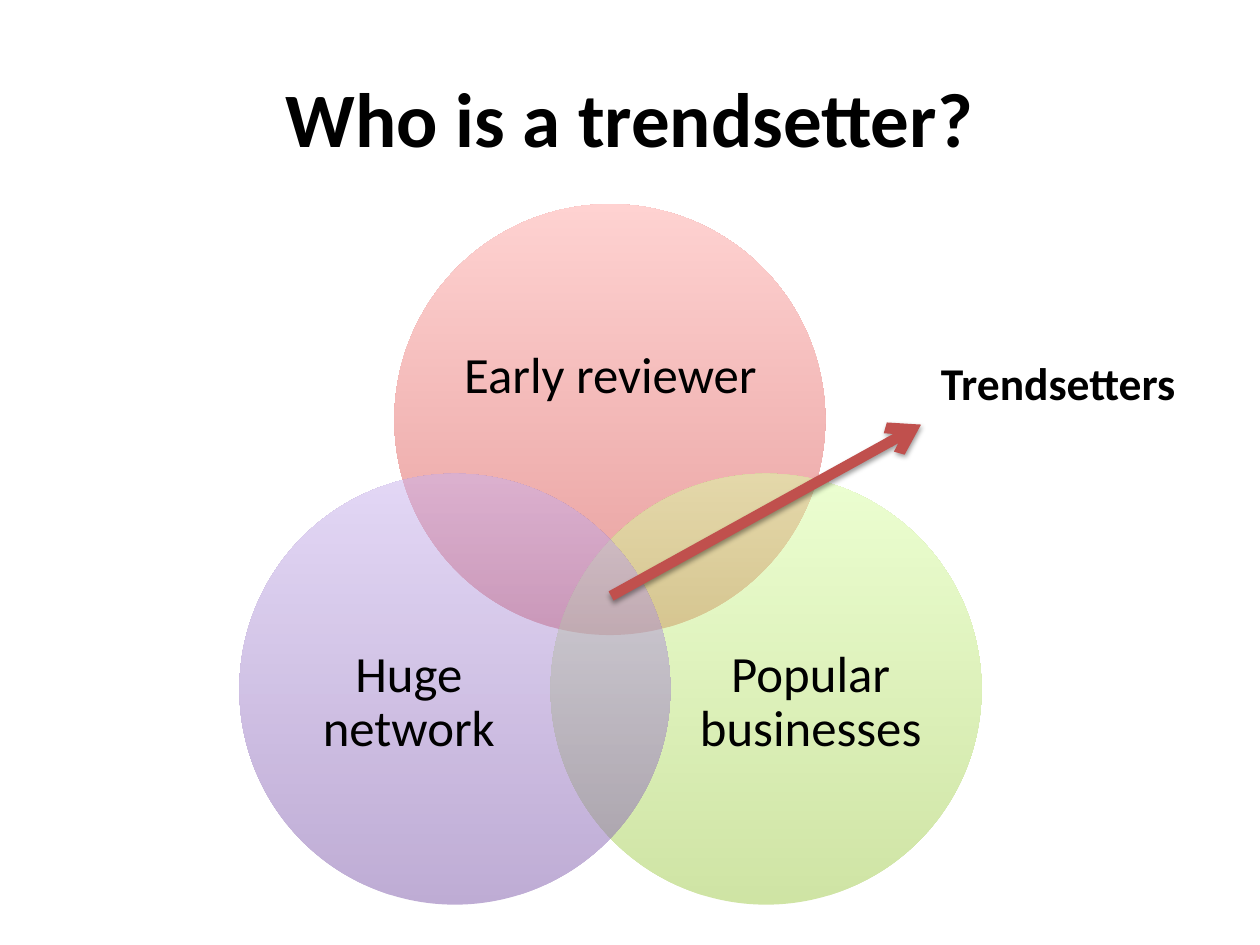
from lxml.etree import SubElement
from pptx import Presentation
from pptx.dml.color import RGBColor
from pptx.enum.shapes import MSO_CONNECTOR, MSO_SHAPE
from pptx.enum.text import MSO_ANCHOR, PP_ALIGN
from pptx.oxml.ns import qn
from pptx.util import Inches, Pt

COLORS = {
    "text": "000000",
    "arrow": "C0504D",
    "shadow": "000000",
    "red": ("D1403C", "FFA6A5"),
    "green": ("A0CA4A", "DAFFA5"),
    "purple": ("7F5BAB", "C8B0ED"),
}
FONT = "Calibri"
DIAMETER = 3.42


def add_text(s, text, left, top, width, height, size=29, bold=False,
             align=PP_ALIGN.CENTER, anchor=MSO_ANCHOR.MIDDLE,
             inset=None, spacing=None):
    tf = s.shapes.add_textbox(*map(Inches, (left, top, width, height))).text_frame
    tf.word_wrap = True
    tf.vertical_anchor = anchor
    if inset is not None:
        tf.margin_left = tf.margin_right = Inches(inset)
        tf.margin_top = tf.margin_bottom = Inches(inset)
    p = tf.paragraphs[0]
    p.alignment = align
    if spacing:
        p.line_spacing = spacing
    r = p.add_run()
    r.text = text
    r.font.name = FONT
    r.font.size = Pt(size)
    r.font.bold = bold
    r.font.color.rgb = RGBColor.from_string(COLORS["text"])


def add_circle(s, left, top, color):
    sp = s.shapes.add_shape(MSO_SHAPE.OVAL, Inches(left), Inches(top),
                            Inches(DIAMETER), Inches(DIAMETER))
    sp.shadow.inherit = False
    sp.line.fill.background()
    sp.fill.gradient()
    sp.fill.gradient_angle = 90
    for stop, position, rgb in zip(sp.fill.gradient_stops, (0, 1), COLORS[color]):
        stop.position = position
        stop.color.rgb = RGBColor.from_string(rgb)
    for clr in sp.fill._xPr.iter(qn("a:srgbClr")):
        SubElement(clr, qn("a:alpha"), val="50000")


def add_venn(s, left, top):
    circles = [
        ("Early reviewer", "red", 1.23, 0, (0.46, 0.6, 2.51, 1.54)),
        ("Popular businesses", "green", 2.47, 2.14, (1.04, 0.88, 2.05, 1.88)),
        ("Huge network", "purple", 0, 2.14, (0.32, 0.88, 2.05, 1.88)),
    ]
    for label, color, dx, dy, (tx, ty, width, height) in circles:
        x, y = left + dx, top + dy
        add_circle(s, x, y, color)
        add_text(s, label, x + tx, y + ty, width, height, inset=0, spacing=0.9)


def add_callout(s, left, top):
    arrow = s.shapes.add_connector(
        MSO_CONNECTOR.STRAIGHT, Inches(left), Inches(top + 1.96),
        Inches(left + 2.46), Inches(top + 0.6))
    arrow.line.width = Pt(6)
    arrow.line.color.rgb = RGBColor.from_string(COLORS["arrow"])
    SubElement(arrow.line._get_or_add_ln(), qn("a:tailEnd"), type="arrow")
    effects = SubElement(arrow._element.spPr, qn("a:effectLst"))
    shadow = SubElement(effects, qn("a:outerShdw"), blurRad=str(Pt(3.1)),
                        dist=str(Pt(1.6)), dir="5400000", rotWithShape="0")
    clr = SubElement(shadow, qn("a:srgbClr"), val=COLORS["shadow"])
    SubElement(clr, qn("a:alpha"), val="38000")
    add_text(s, "Trendsetters", left + 2.52, top, 2.5, 0.54, size=26, bold=True,
             align=PP_ALIGN.LEFT, anchor=MSO_ANCHOR.TOP)


def main():
    prs = Presentation()
    prs.slide_width, prs.slide_height = Inches(10), Inches(7.5)
    s = prs.slides.add_slide(prs.slide_layouts[6])
    add_text(s, "Who is a trendsetter?", 0.5, 0.3, 9, 1.25, size=44, bold=True)
    add_venn(s, 1.9, 1.62)
    add_callout(s, 4.85, 2.77)
    prs.save("out.pptx")


if __name__ == "__main__":
    main()
